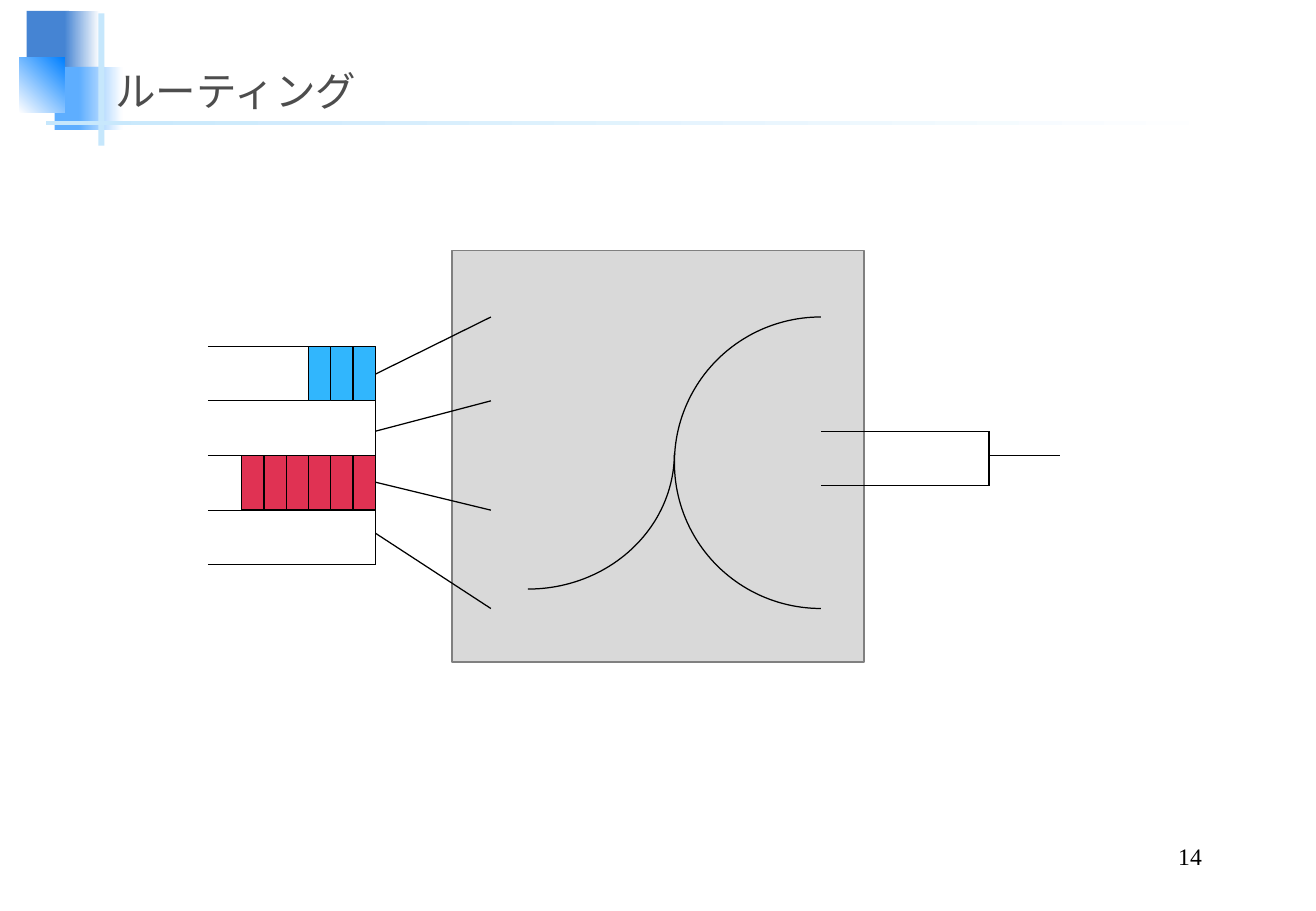
import pptx
import pptx.dml.color
import pptx.enum.shapes
import pptx.enum.text
import pptx.oxml.ns
import pptx.util
import lxml.etree

Inches = pptx.util.Inches
Pt = pptx.util.Pt
SHAPES = pptx.enum.shapes.MSO_SHAPE
ALIGN = pptx.enum.text.PP_ALIGN
FONT = "Times New Roman"
COLOURS = {
    "white": "FFFFFF", "black": "000000", "title": "4D4D4D",
    "navy": "4584D3", "sky": "5EAEFF", "azure": "0080FF", "pale": "C6E7FC",
    "blue packet": "31B6FD", "red packet": "E03253",
    "switch": "D9D9D9", "switch edge": "808080",
}


def colour(name):
    return pptx.dml.color.RGBColor.from_string(COLOURS[name])


def add_block(page, box, fill=None, edge=None, kind=SHAPES.RECTANGLE):
    """Add a shape; fill is a colour name, or (start, end, angle) for a gradient."""
    shape = page.shapes.add_shape(kind, *map(Inches, box))
    shape.shadow.inherit = False
    if fill is None:
        shape.fill.background()
    elif isinstance(fill, tuple):
        shape.fill.gradient()
        shape.fill.gradient_angle = fill[2]
        for stop, name in zip(shape.fill.gradient_stops, fill):
            stop.color.rgb = colour(name)
    else:
        shape.fill.solid()
        shape.fill.fore_color.rgb = colour(fill)
    if edge:
        shape.line.color.rgb = colour(edge)
        shape.line.width = Pt(0.75)
    else:
        shape.line.fill.background()
    return shape


def add_line(page, start, end):
    line = page.shapes.add_connector(
        pptx.enum.shapes.MSO_CONNECTOR.STRAIGHT, *map(Inches, start + end))
    line.line.color.rgb = colour("black")
    line.line.width = Pt(0.75)
    properties = line.element.find(pptx.oxml.ns.qn("p:spPr"))
    lxml.etree.SubElement(properties, pptx.oxml.ns.qn("a:effectLst"))


def write_text(shape, text, size, name, align):
    frame = shape.text_frame
    frame.word_wrap = True
    frame.auto_size = pptx.enum.text.MSO_AUTO_SIZE.NONE
    frame.vertical_anchor = pptx.enum.text.MSO_ANCHOR.BOTTOM
    para = frame.paragraphs[0]
    para.alignment = align
    span = para.add_run()
    span.text = text
    span.font.size = Pt(size)
    span.font.name = FONT
    span.font.color.rgb = colour(name)


def add_header(page, box, text):
    """Draw the corner ornament and set the title in front of it."""
    left, top, width, height = box
    ornament = [
        (0.06, 0, 0.35, 0.52, "navy"),
        (0.37, 0, 0.29, 0.52, ("navy", "white", 0)),
        (0.29, 0.46, 0.41, 0.52, "sky"),
        (0.49, 0.46, 0.36, 0.52, ("sky", "white", 0)),
        (0, 0.38, 0.37, 0.46, ("white", "azure", 45)),
        (0.65, 0.02, 0.05, 1.09, "pale"),
        (0.22, 0.91, width - 0.23, 0.03, ("pale", "white", 0)),
    ]
    for x, y, wide, high, fill in ornament:
        add_block(page, (left + x, top + y, wide, high), fill)
    title = page.shapes.title
    title.left, title.top = Inches(left + 0.69), Inches(top + 0.27)
    title.width, title.height = Inches(width - 0.69), Inches(0.63)
    write_text(title, text, 24, "title", ALIGN.LEFT)
    title.element.getparent().append(title.element)


def add_queues(page, box, packets):
    """Stack one open-ended queue per entry of packets: (count, colour name)."""
    left, top, width, height = box
    right = left + width
    row = height / len(packets)
    packet = 1.1 / 6
    for border in range(len(packets) + 1):
        y = top + border * row
        add_line(page, (left, y), (right, y))
    add_line(page, (right, top), (right, top + height))
    for index, (count, name) in enumerate(packets):
        for place in range(1, count + 1):
            add_block(page, (right - place * packet, top + index * row, packet, row),
                      name, "black")


def add_switch(page, box):
    """Draw the switch with two half ellipses that touch in its middle."""
    left, top, width, height = box
    add_block(page, box, "switch", "switch edge")
    touch, arc_top, arc_width = left + 1.83, top + 0.55, 2.41
    degree = 0.6
    for x, arc_height, start, end in [(touch - arc_width, 2.24, -90, 90),
                                      (touch, 2.4, 90, 270)]:
        arc = add_block(page, (x, arc_top, arc_width, arc_height),
                        edge="black", kind=SHAPES.ARC)
        arc.adjustments[0] = start * degree
        arc.adjustments[1] = end * degree


def add_input_links(page, left, right, ends):
    for start_y, end_y in ends:
        add_line(page, (left, start_y), (right, end_y))


def add_output(page, box):
    """Draw the open-ended output queue and the line that leaves it."""
    left, top, width, height = box
    right, bottom = left + width, top + height
    add_line(page, (right, top), (right, bottom))
    for y in (top, bottom):
        add_line(page, (left, y), (right, y))
    add_line(page, (right, top + 0.2), (right + 0.58, top + 0.2))


def add_page_number(page, box, number):
    write_text(page.shapes.add_textbox(*map(Inches, box)), number, 14, "black", ALIGN.RIGHT)


def main():
    deck = pptx.Presentation()
    deck.slide_width, deck.slide_height = Inches(10.83), Inches(7.5)
    page = deck.slides.add_slide(deck.slide_layouts[5])
    add_header(page, (0.16, 0.09, 9.98, 1.11), "ルーティング")
    add_page_number(page, (7.73, 6.9, 2.26, 0.31), "14")
    add_queues(page, (1.71, 2.85, 1.38, 1.8),
               [(3, "blue packet"), (0, None), (6, "red packet"), (0, None)])
    add_switch(page, (3.72, 2.06, 3.39, 3.39))
    add_input_links(page, 3.09, 4.04,
                    [(3.08, 2.61), (3.55, 3.3), (3.97, 4.2), (4.39, 5.01)])
    add_output(page, (6.76, 3.55, 1.38, 0.45))
    deck.save("out.pptx")


if __name__ == "__main__":
    main()
